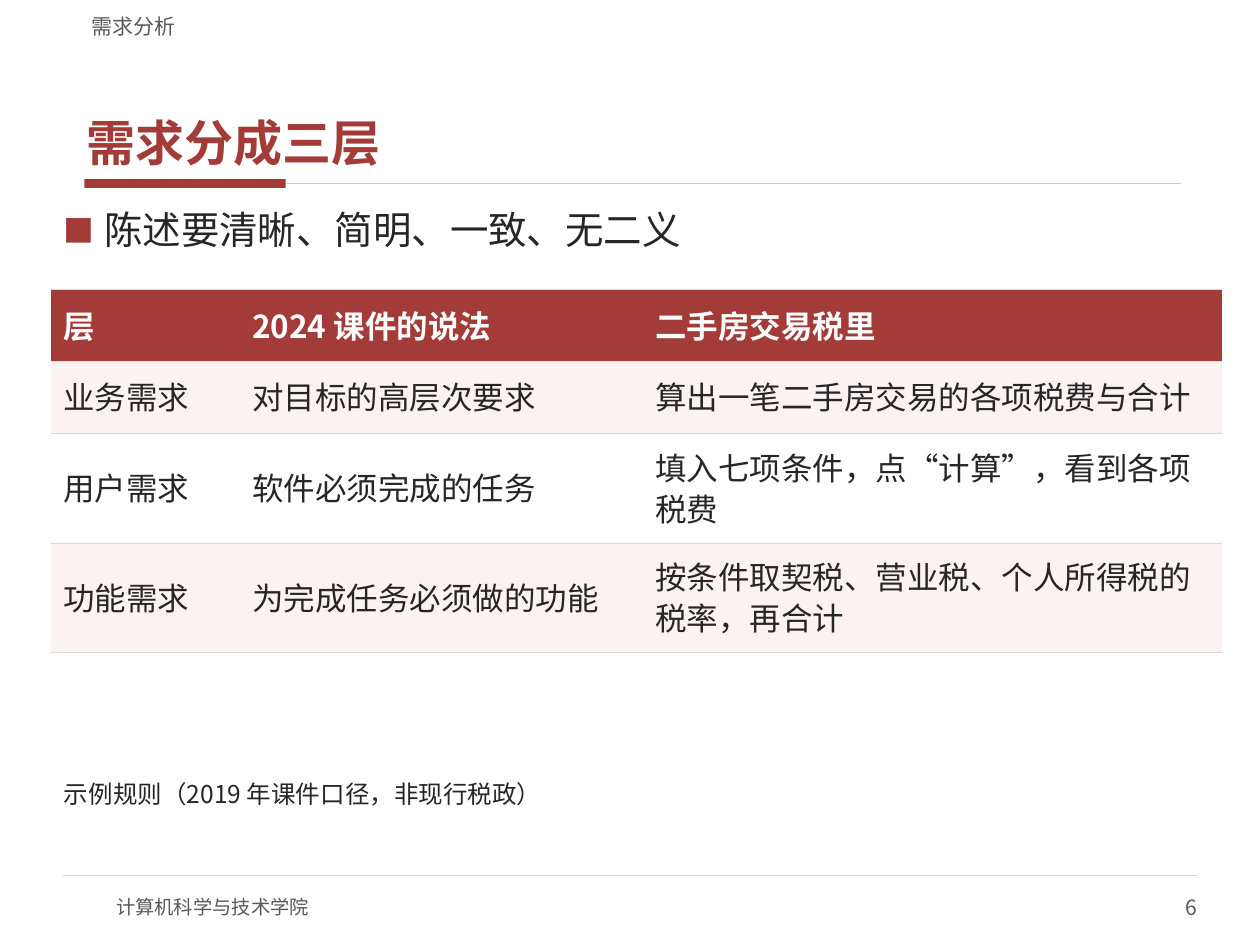
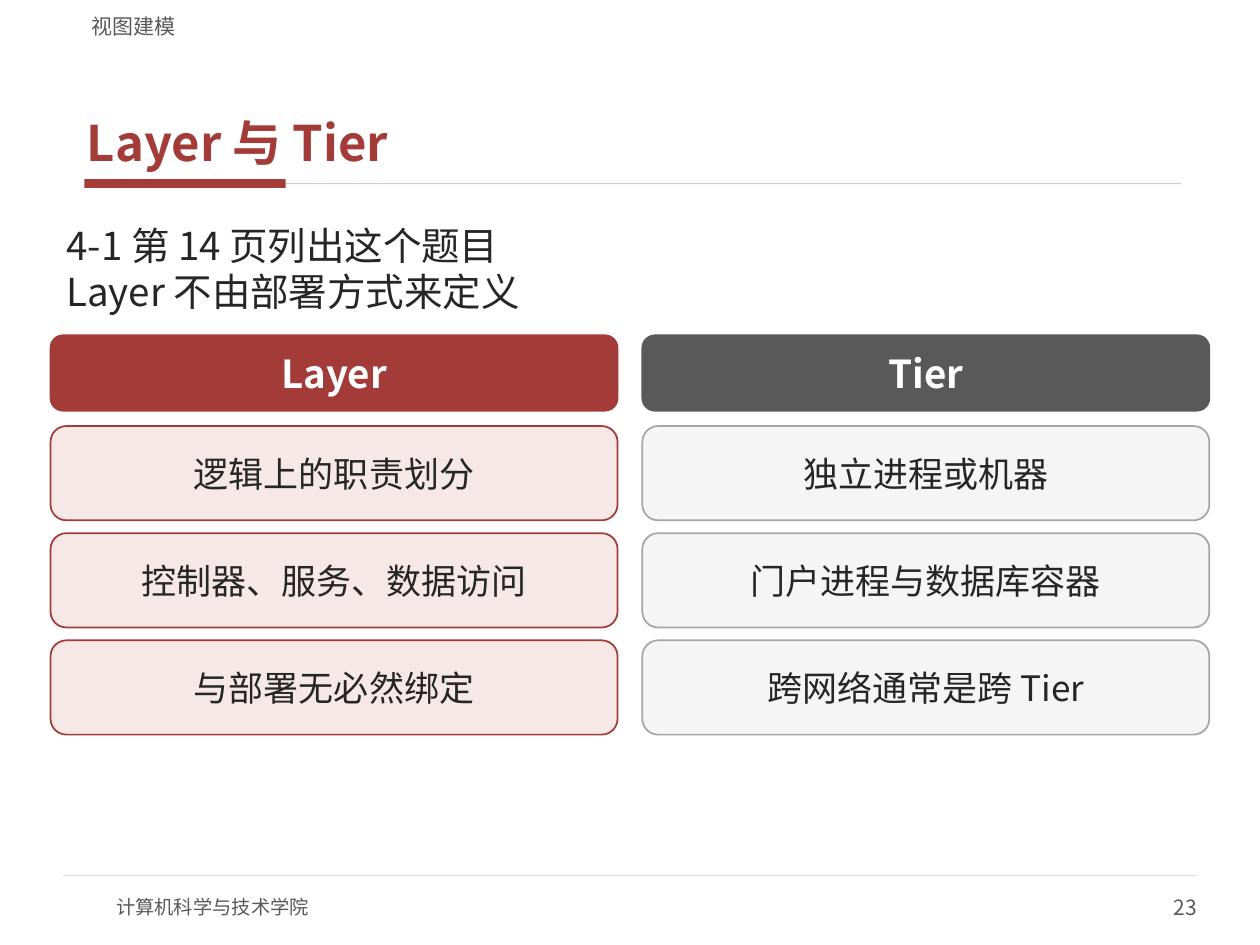
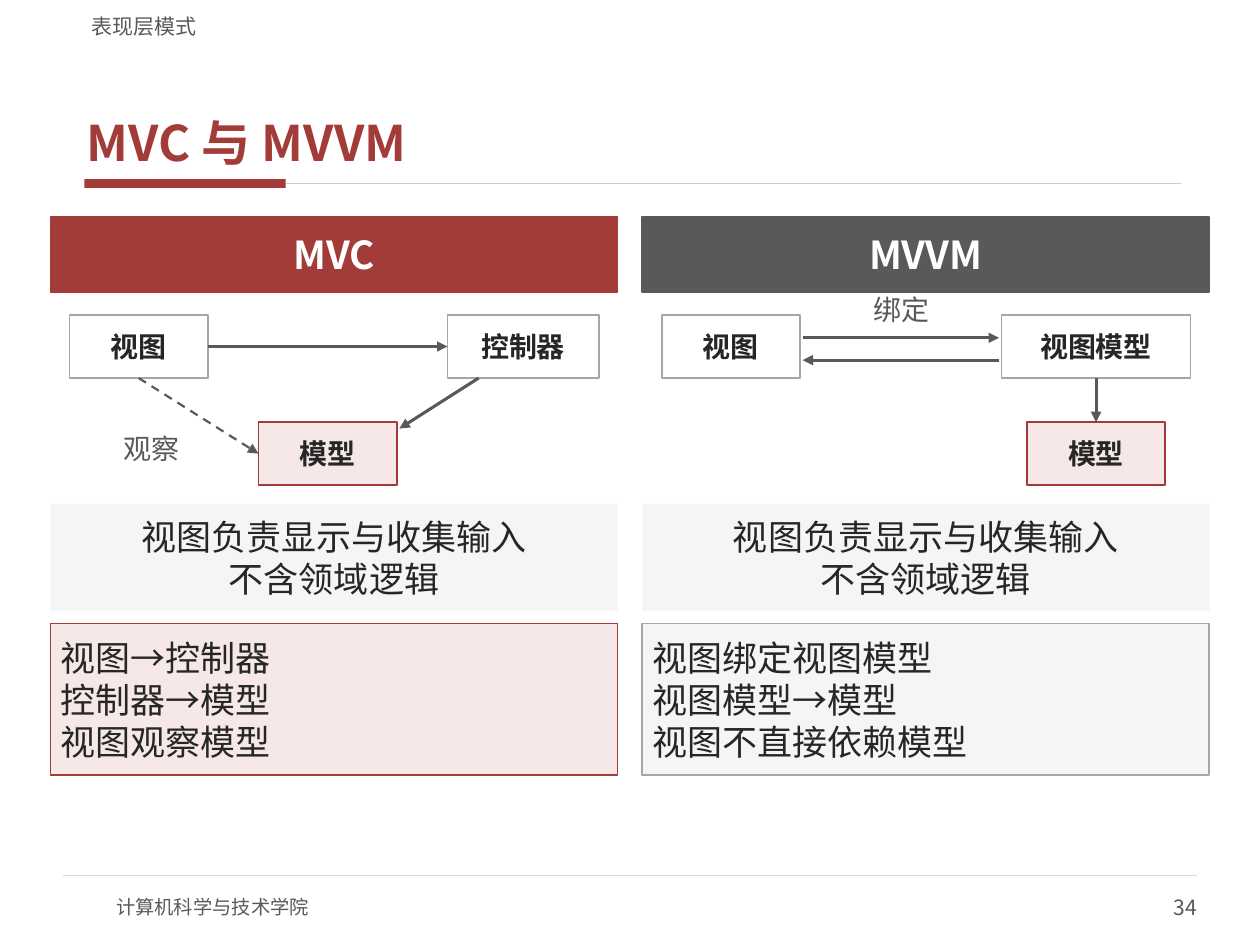
from dataclasses import dataclass, replace
from typing import NamedTuple, Optional

from lxml.etree import SubElement
from pptx import Presentation
from pptx.dml.color import RGBColor
from pptx.enum.dml import MSO_LINE
from pptx.enum.shapes import MSO_CONNECTOR, MSO_SHAPE
from pptx.enum.text import MSO_ANCHOR, MSO_AUTO_SIZE, PP_ALIGN
from pptx.oxml.ns import qn
from pptx.util import Cm, Pt


@dataclass(frozen=True)
class Theme:
    font: str = "Noto Sans CJK SC"
    red: str = "A33B38"
    rose: str = "F6E8E6"
    blush: str = "FBF3F2"
    pink_rule: str = "E3C4C2"
    ink: str = "262626"
    slate: str = "595959"
    grey: str = "A6A6A6"
    rule: str = "D9D9D9"
    mist: str = "F5F5F5"
    white: str = "FFFFFF"
    title: float = 28
    heading: float = 22
    card: float = 20
    cell: float = 18
    node: float = 16
    note: float = 14
    small: float = 12
    footer: float = 11


THEME = Theme()


@dataclass(frozen=True)
class TextStyle:
    size: float
    color: str = THEME.ink
    bold: bool = False
    align: PP_ALIGN = PP_ALIGN.LEFT
    anchor: MSO_ANCHOR = MSO_ANCHOR.TOP
    inset_x: float = 0
    inset_y: float = 0
    line_spacing: Optional[float] = None
    shrink: bool = False


class Area(NamedTuple):
    left: float
    top: float
    width: float
    height: float


class Column(NamedTuple):
    left: float
    head_fill: str
    body_fill: str
    body_line: str


COLUMN_WIDTH = 11.43
COLUMNS = (
    Column(1.02, THEME.red, THEME.rose, THEME.red),
    Column(12.95, THEME.slate, THEME.mist, THEME.grey),
)

TITLE = TextStyle(THEME.title, THEME.red, True, anchor=MSO_ANCHOR.BOTTOM, inset_x=0.15, inset_y=0.05)
SECTION = TextStyle(THEME.small, THEME.slate, anchor=MSO_ANCHOR.BOTTOM, inset_x=0.25)
FOOTER = TextStyle(THEME.footer, THEME.slate, anchor=MSO_ANCHOR.MIDDLE)
NUMBER = replace(FOOTER, size=THEME.small, align=PP_ALIGN.RIGHT)
BULLET = TextStyle(THEME.heading, inset_x=0.15, inset_y=0.05)
NOTE = replace(BULLET, size=THEME.note)
LEAD = TextStyle(THEME.heading, inset_x=0.2, inset_y=0.1, shrink=True)
CARD = TextStyle(THEME.card, align=PP_ALIGN.CENTER, anchor=MSO_ANCHOR.MIDDLE,
                 inset_x=0.2, inset_y=0.1, shrink=True)
CARD_LIST = replace(CARD, align=PP_ALIGN.LEFT)
HEAD = replace(CARD, size=THEME.heading, color=THEME.white, bold=True)
NODE = TextStyle(THEME.node, bold=True, align=PP_ALIGN.CENTER, anchor=MSO_ANCHOR.MIDDLE,
                 inset_x=0.08, inset_y=0.03)
ARROW_LABEL = replace(NODE, color=THEME.slate, bold=False)
CELL = TextStyle(THEME.cell, line_spacing=0.9)
CELL_HEAD = replace(CELL, color=THEME.white, bold=True)


def rgb(color: str) -> RGBColor:
    return RGBColor.from_string(color)


def format_text(frame, text: str, style: TextStyle) -> None:
    frame.text = text
    for para in frame.paragraphs:
        para.alignment = style.align
        para.space_before = para.space_after = Pt(0)
        if style.line_spacing:
            para.line_spacing = style.line_spacing
        for span in para.runs:
            span.font.size = Pt(style.size)
            span.font.bold = style.bold
            span.font.color.rgb = rgb(style.color)
            span.font.name = THEME.font
            SubElement(span._r.get_or_add_rPr(), qn("a:ea"), typeface=THEME.font)


def write(box, text: str, style: TextStyle) -> None:
    frame = box.text_frame
    frame.word_wrap = True
    frame.auto_size = MSO_AUTO_SIZE.TEXT_TO_FIT_SHAPE if style.shrink else MSO_AUTO_SIZE.NONE
    frame.vertical_anchor = style.anchor
    frame.margin_left = frame.margin_right = Cm(style.inset_x)
    frame.margin_top = frame.margin_bottom = Cm(style.inset_y)
    format_text(frame, text, style)


def add_text(page, area: Area, text: str, style: TextStyle):
    box = page.shapes.add_textbox(*map(Cm, area))
    write(box, text, style)
    return box


def add_box(page, area: Area, fill: str, line: Optional[str] = None, text: str = "",
            style: TextStyle = CARD, kind: MSO_SHAPE = MSO_SHAPE.RECTANGLE):
    box = page.shapes.add_shape(kind, *map(Cm, area))
    box.shadow.inherit = False
    box.fill.solid()
    box.fill.fore_color.rgb = rgb(fill)
    if line:
        box.line.color.rgb = rgb(line)
        box.line.width = Pt(1)
    else:
        box.line.fill.background()
    if text:
        write(box, text, style)
    return box


def add_line(page, start: tuple[float, float], end: tuple[float, float], color: str, width: float):
    line = page.shapes.add_connector(MSO_CONNECTOR.STRAIGHT, *map(Cm, (*start, *end)))
    line.line.color.rgb = rgb(color)
    line.line.width = Pt(width)
    SubElement(line._element.spPr, qn("a:effectLst"))
    return line


def add_arrow(page, start: tuple[float, float], end: tuple[float, float], dashed: bool = False):
    arrow = add_line(page, start, end, THEME.slate, 1.25 if dashed else 1.75)
    if dashed:
        arrow.line.dash_style = MSO_LINE.DASH
    SubElement(arrow.line._get_or_add_ln(), qn("a:tailEnd"), type="triangle")
    return arrow


def join(page, source, source_side: int, target, target_side: int, dashed: bool = False) -> None:
    arrow = add_arrow(page, (0, 0), (1, 1), dashed)
    arrow.begin_connect(source, source_side)
    arrow.end_connect(target, target_side)


def place(box, area: Area) -> None:
    box.left, box.top, box.width, box.height = map(Cm, area)


def add_page(deck, layout_index: int, section: str, title: str, number: int):
    page = deck.slides.add_slide(deck.slide_layouts[layout_index])
    place(page.shapes.title, Area(1.6, 0.84, 22.23, 2.67))
    write(page.shapes.title, title, TITLE)
    add_text(page, Area(1.6, 0.1, 22.23, 0.69), section, SECTION)
    add_text(page, Area(19.05, 17.78, 5.08, 1.02), str(number), NUMBER)
    return page


def move_furniture_to_master(deck, page) -> None:
    furniture = (
        add_box(page, Area(1.7, 3.61, 4.06, 0.18), THEME.red),
        add_line(page, (5.77, 3.7), (23.8, 3.7), THEME.pink_rule, 1),
        add_line(page, (1.27, 17.65), (24.13, 17.65), THEME.rule, 0.75),
        add_text(page, Area(2.34, 17.78, 10.16, 1.02), "计算机科学与技术学院", FOOTER),
    )
    for item in furniture:
        deck.slide_master.shapes.element.append(item._element)


def fill_body(page, area: Area, text: str, style: TextStyle, bullet: str = "") -> None:
    body = page.placeholders[1]
    place(body, area)
    write(body, text, style)
    for para in body.text_frame.paragraphs:
        properties = para._p.get_or_add_pPr()
        indent = Cm(0.81) if bullet else 0
        properties.set("marL", str(indent))
        properties.set("indent", str(-indent))
        if bullet:
            color = SubElement(properties, qn("a:buClr"))
            SubElement(color, qn("a:srgbClr"), val=THEME.red)
            SubElement(properties, qn("a:buSzPct"), val="80000")
            SubElement(properties, qn("a:buFont"), typeface=THEME.font)
            SubElement(properties, qn("a:buChar"), char=bullet)
        else:
            SubElement(properties, qn("a:buNone"))


def add_cell_rules(cell) -> None:
    properties = cell._tc.get_or_add_tcPr()
    for side in ("a:lnT", "a:lnB"):
        border = SubElement(properties, qn(side), w=str(Pt(0.75)))
        fill = SubElement(border, qn("a:solidFill"))
        SubElement(fill, qn("a:srgbClr"), val=THEME.rule)


def add_requirement_table(page) -> None:
    rows = (
        ("层", "2024 课件的说法", "二手房交易税里"),
        ("业务需求", "对目标的高层次要求", "算出一笔二手房交易的各项税费与合计"),
        ("用户需求", "软件必须完成的任务", "填入七项条件，点“计算”，看到各项税费"),
        ("功能需求", "为完成任务必须做的功能", "按条件取契税、营业税、个人所得税的税率，再合计"),
    )
    widths = (3.81, 8.13, 11.68)
    heights = (1.45, 1.45, 2.21, 2.21)
    area = Area(1.02, 5.84, sum(widths), sum(heights))
    table = page.shapes.add_table(len(rows), len(widths), *map(Cm, area)).table
    table.first_row = table.horz_banding = False
    table._tbl.tblPr.find(qn("a:tableStyleId")).text = "{2D5ABB26-0587-4C30-8999-92F81FD0307C}"
    for column, width in zip(table.columns, widths):
        column.width = Cm(width)
    for index, (row, height, texts) in enumerate(zip(table.rows, heights, rows)):
        row.height = Cm(height)
        fill = THEME.red if index == 0 else (THEME.white, THEME.blush)[index % 2]
        for cell, text in zip(row.cells, texts):
            add_cell_rules(cell)
            cell.fill.solid()
            cell.fill.fore_color.rgb = rgb(fill)
            cell.vertical_anchor = MSO_ANCHOR.MIDDLE
            format_text(cell.text_frame, text, CELL if index else CELL_HEAD)


def build_requirements(deck) -> None:
    page = add_page(deck, 1, "需求分析", "需求分成三层", 6)
    move_furniture_to_master(deck, page)
    fill_body(page, Area(1.14, 4.11, 23.11, 1.4), "陈述要清晰、简明、一致、无二义", BULLET, "■")
    add_requirement_table(page)
    add_text(page, Area(1.14, 15.65, 23.11, 0.76), "示例规则（2019 年课件口径，非现行税政）", NOTE)


def add_heads(page, top: float, titles: tuple[str, str], kind: MSO_SHAPE) -> None:
    for column, title in zip(COLUMNS, titles):
        add_box(page, Area(column.left, top, COLUMN_WIDTH, 1.52), column.head_fill,
                column.head_fill, title, HEAD, kind)


def build_layer_and_tier(deck) -> None:
    page = add_page(deck, 1, "视图建模", "Layer 与 Tier", 23)
    fill_body(page, Area(1.14, 4.37, 23.11, 2.18),
              "4-1 第 14 页列出这个题目\nLayer 不由部署方式来定义", LEAD)
    add_heads(page, 6.76, ("Layer", "Tier"), MSO_SHAPE.ROUNDED_RECTANGLE)
    cards = (
        ("逻辑上的职责划分", "控制器、服务、数据访问", "与部署无必然绑定"),
        ("独立进程或机器", "门户进程与数据库容器", "跨网络通常是跨 Tier"),
    )
    for column, texts in zip(COLUMNS, cards):
        for index, text in enumerate(texts):
            area = Area(column.left, 8.59 + index * 2.16, COLUMN_WIDTH, 1.9)
            add_box(page, area, column.body_fill, column.body_line, text, CARD,
                    MSO_SHAPE.ROUNDED_RECTANGLE)


def add_node(page, left: float, top: float, width: float, text: str, model: bool = False):
    fill, line = (THEME.rose, THEME.red) if model else (THEME.white, THEME.grey)
    return add_box(page, Area(left, top, width, 1.27), fill, line, text, NODE)


def draw_mvc(page) -> None:
    view = add_node(page, 1.4, 6.35, 2.79, "视图")
    controller = add_node(page, 9.02, 6.35, 3.05, "控制器")
    model = add_node(page, 5.21, 8.51, 2.79, "模型", True)
    join(page, view, 3, controller, 1)
    add_arrow(page, (9.65, 7.62), (8.05, 8.64))
    join(page, view, 2, model, 1, dashed=True)
    add_text(page, Area(1.27, 8.64, 3.56, 0.81), "观察", ARROW_LABEL)


def draw_mvvm(page) -> None:
    add_node(page, 13.34, 6.35, 2.79, "视图")
    view_model = add_node(page, 20.19, 6.35, 3.81, "视图模型")
    model = add_node(page, 20.7, 8.51, 2.79, "模型", True)
    add_arrow(page, (16.18, 6.81), (20.14, 6.81))
    add_arrow(page, (20.14, 7.26), (16.18, 7.26))
    add_text(page, Area(16.26, 5.84, 3.81, 0.81), "绑定", ARROW_LABEL)
    join(page, view_model, 2, model, 0)


def build_mvc_and_mvvm(deck) -> None:
    page = add_page(deck, 5, "表现层模式", "MVC 与 MVVM", 34)
    add_heads(page, 4.37, ("MVC", "MVVM"), MSO_SHAPE.RECTANGLE)
    draw_mvc(page)
    draw_mvvm(page)
    dependencies = (
        "视图→控制器\n控制器→模型\n视图观察模型",
        "视图绑定视图模型\n视图模型→模型\n视图不直接依赖模型",
    )
    for column, text in zip(COLUMNS, dependencies):
        add_box(page, Area(column.left, 10.16, COLUMN_WIDTH, 2.16), THEME.mist,
                text="视图负责显示与收集输入\n不含领域逻辑")
        add_box(page, Area(column.left, 12.57, COLUMN_WIDTH, 3.05), column.body_fill,
                column.body_line, text, CARD_LIST)


def main() -> None:
    deck = Presentation()
    deck.slide_width, deck.slide_height = Cm(25.4), Cm(19.05)
    build_requirements(deck)
    build_layer_and_tier(deck)
    build_mvc_and_mvvm(deck)
    deck.save("out.pptx")


if __name__ == "__main__":
    main()
